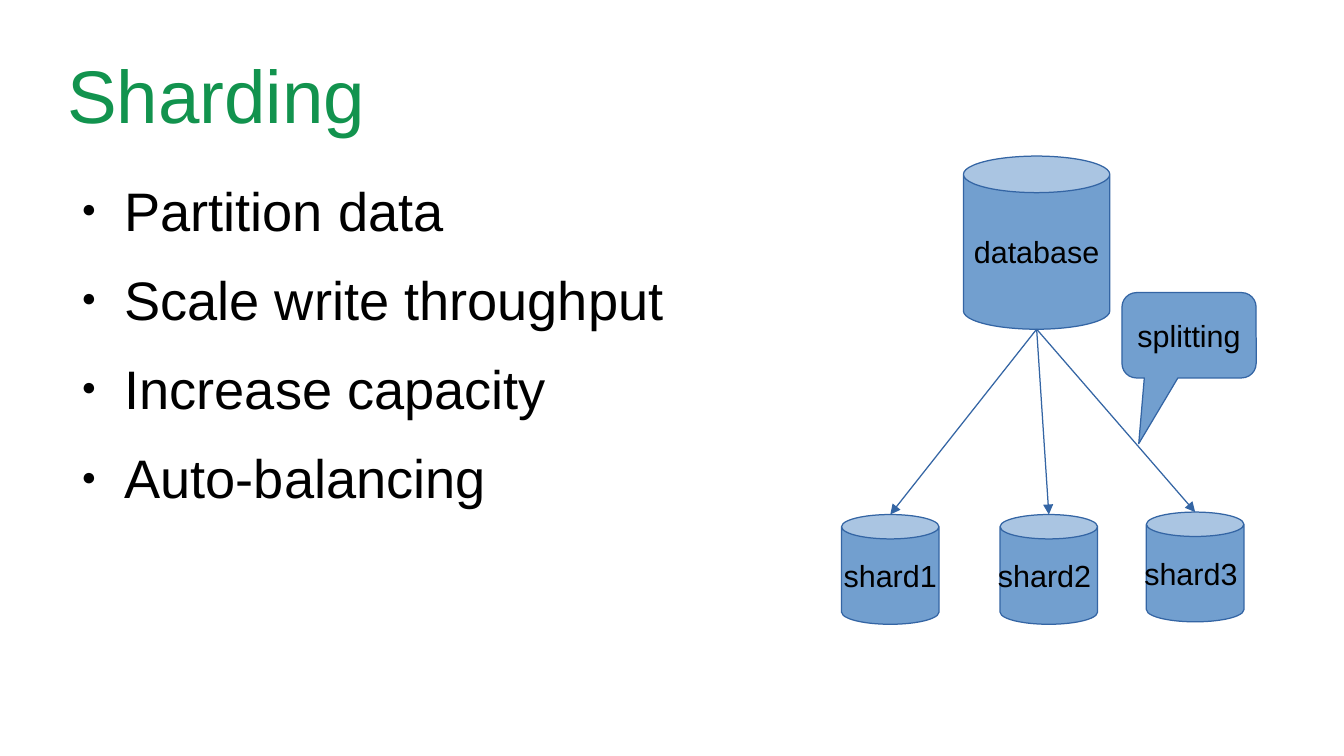
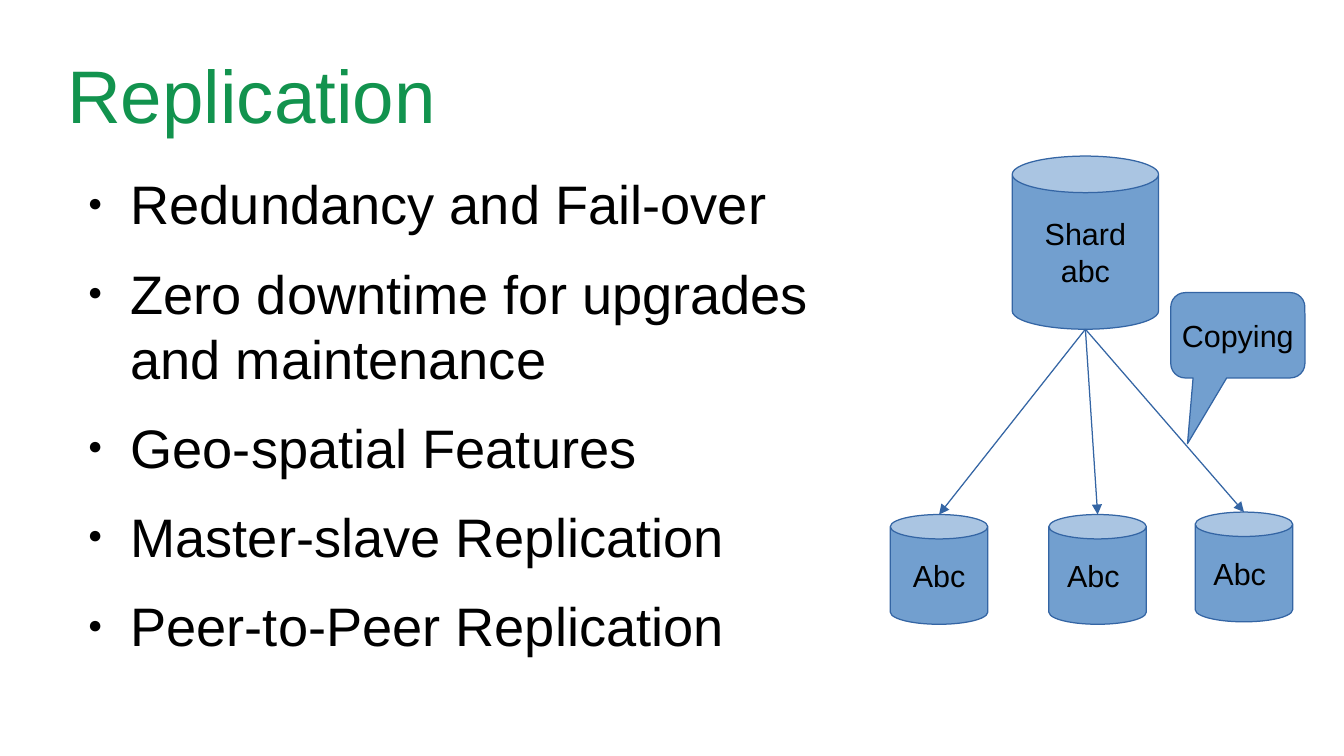
from lxml import etree
from pptx import Presentation
from pptx.dml.color import RGBColor
from pptx.enum.shapes import MSO_CONNECTOR, MSO_SHAPE
from pptx.enum.text import MSO_ANCHOR, MSO_AUTO_SIZE, PP_ALIGN
from pptx.oxml.ns import qn
from pptx.util import Pt

GREEN = RGBColor(0x12, 0x93, 0x4E)
BLACK = RGBColor(0, 0, 0)
BLUE = RGBColor(0x72, 0x9F, 0xCF)
EDGE = RGBColor(0x34, 0x65, 0xA4)

CAN = MSO_SHAPE.CAN
CALLOUT = MSO_SHAPE.ROUNDED_RECTANGULAR_CALLOUT
STRAIGHT = MSO_CONNECTOR.STRAIGHT
LEFT, CENTER = PP_ALIGN.LEFT, PP_ALIGN.CENTER
TOP, MIDDLE = MSO_ANCHOR.TOP, MSO_ANCHOR.MIDDLE
NO_FIT = MSO_AUTO_SIZE.NONE

FONT = "Arial"
TITLE_BOX = (39.6, 18, 714.24, 74.88)
ROOT_W, ROOT_H, ROOT_TOP = 86.4, 102.24, 92.16
LEAF_W, LEAF_H = 57.6, 64.8
LEAVES = [(-86.4, 303.84), (7.2, 303.84), (93.6, 302.4)]  # centre offset, top


def write(frame, text, size=18, color=BLACK, align=CENTER, anchor=MIDDLE,
          pad=(7.2, 3.6), wrap=False, before=0):
    """Fill a text frame, one paragraph for each line of text."""
    frame.auto_size = NO_FIT
    frame.word_wrap = wrap
    frame.vertical_anchor = anchor
    frame.margin_left = frame.margin_right = Pt(pad[0])
    frame.margin_top = frame.margin_bottom = Pt(pad[1])
    frame.text = text
    for para in frame.paragraphs:
        para.alignment = align
        para.space_before = Pt(before)
        font = para.runs[0].font
        font.name, font.size = FONT, Pt(size)
        font.color.rgb = color


def place(shape, box):
    shape.left, shape.top, shape.width, shape.height = map(Pt, box)


def add_xml(parent, tag, **attrs):
    return etree.SubElement(parent, qn(tag), attrs)


def bullet(para):
    props = para._p.get_or_add_pPr()
    props.set("marL", str(Pt(33.84)))
    props.set("indent", str(Pt(-25.2)))
    add_xml(add_xml(props, "a:buClr"), "a:srgbClr", val=str(BLACK))
    add_xml(props, "a:buSzPct", val="45000")
    add_xml(props, "a:buFont", typeface=FONT)
    add_xml(props, "a:buChar", char="●")


class Deck:
    def __init__(self):
        self.file = Presentation()
        self.file.slide_width = Pt(793.44)
        self.file.slide_height = Pt(446.4)
        self.slide = None

    def start(self, title):
        self.slide = self.file.slides.add_slide(self.file.slide_layouts[1])
        head = self.slide.shapes.title
        place(head, TITLE_BOX)
        write(head.text_frame, title, size=44, color=GREEN, align=LEFT,
              pad=(0, 0), wrap=True)

    def points(self, items, box):
        body = self.slide.placeholders[1]
        place(body, box)
        write(body.text_frame, "\n".join(items), size=32, align=LEFT,
              anchor=TOP, pad=(0, 0), wrap=True, before=14.2)
        for para in body.text_frame.paragraphs:
            bullet(para)

    def shape(self, kind, text, box, adjust):
        item = self.slide.shapes.add_shape(kind, *map(Pt, box))
        item.shadow.inherit = False
        item.fill.solid()
        item.fill.fore_color.rgb = BLUE
        item.line.color.rgb = EDGE
        item.line.width = Pt(0.75)
        for i, value in enumerate(adjust):
            item.adjustments[i] = value
        write(item.text_frame, text)

    def can(self, text, mid, top, width, height):
        self.shape(CAN, text, (mid - width / 2, top, width, height), [0.25])

    def arrow(self, x1, y1, x2, y2):
        line = self.slide.shapes.add_connector(
            STRAIGHT, Pt(x1), Pt(y1), Pt(x2), Pt(y2))
        line.line.color.rgb = EDGE
        line.line.width = Pt(0.75)
        add_xml(line.line._get_or_add_ln(), "a:tailEnd", type="triangle")
        add_xml(line._element.spPr, "a:effectLst")

    def tree(self, mid, root, leaves, note):
        """Draw a root store, arrows to its leaf stores and a callout."""
        base = ROOT_TOP + ROOT_H
        self.can(root, mid, ROOT_TOP, ROOT_W, ROOT_H)
        for text, (shift, top) in zip(leaves, LEAVES):
            self.can(text, mid + shift, top, LEAF_W, LEAF_H)
            self.arrow(mid, base, mid + shift, top)
        self.shape(CALLOUT, note, (mid + 50.4, 172.8, 79.2, 50.4),
                   [-0.375, 1.27, 0.17])


def main():
    deck = Deck()

    deck.start("Sharding")
    deck.points(["Partition data", "Scale write throughput",
                 "Increase capacity", "Auto-balancing"],
                (39.6, 104.4, 378, 259.2))
    deck.tree(612, "database", ["shard1", "shard2 ", "shard3 "], "splitting")

    deck.start("Replication")
    deck.points(["Redundancy and Fail-over",
                 "Zero downtime for upgrades and maintenance",
                 "Geo-spatial Features", "Master-slave Replication",
                 "Peer-to-Peer Replication"],
                (43.2, 100.8, 446.4, 337.68))
    deck.tree(640.8, "Shard\nabc", ["Abc", "Abc ", "Abc "], "Copying")

    deck.file.save("out.pptx")


if __name__ == "__main__":
    main()
